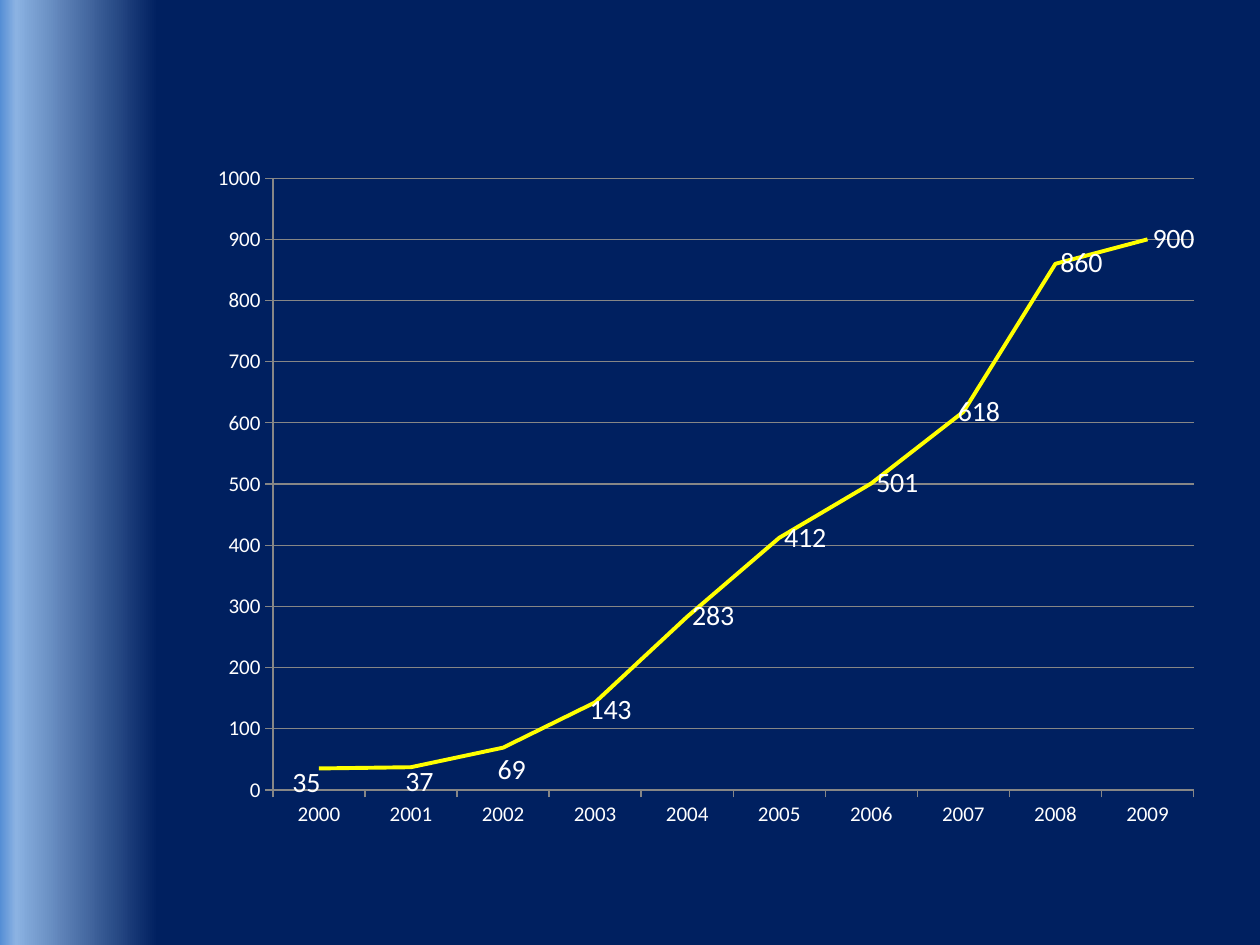
from copy import deepcopy

from lxml.etree import SubElement
from pptx import Presentation
from pptx.chart.data import CategoryChartData as ChartData
from pptx.dml.color import RGBColor as Color
from pptx.enum.chart import XL_CHART_TYPE as ChartType
from pptx.enum.chart import XL_LABEL_POSITION as LabelPosition
from pptx.enum.chart import XL_MARKER_STYLE as Marker
from pptx.enum.chart import XL_TICK_MARK as Tick
from pptx.enum.shapes import MSO_SHAPE as Shape
from pptx.oxml.ns import qn
from pptx.util import Cm, Pt

VALUES = [35, 37, 69, 143, 283, 412, 501, 618, 860, 900]
YEARS = [str(2000 + step) for step in range(len(VALUES))]
LABEL_SHIFTS = {
    0: (-0.03, 0.02),
    1: (-0.01, 0.02),
    2: (-0.01, 0.03),
    3: (-0.01, 0.01),
    7: (-0.01, 0),
}
PLOT_AREA = {"x": 0.12, "y": 0.07, "w": 0.88, "h": 0.82}
BAND_STOPS = [(0, "navy"), (0.9, "pale"), (1, "blue")]

THEME = {
    "font": "Calibri",
    "axis_size": Pt(12),
    "label_size": Pt(16),
    "grid_width": Pt(0.75),
    "series_width": Pt(2.25),
    "navy": Color.from_string("002060"),
    "pale": Color.from_string("8BB2E2"),
    "blue": Color.from_string("558ED5"),
    "text": Color.from_string("FFFFFF"),
    "series": Color.from_string("FFFF00"),
    "grid": Color.from_string("868686"),
}


def style_font(font, size):
    font.name = THEME["font"]
    font.size = size
    font.color.rgb = THEME["text"]


def style_line(line, color, width):
    line.color.rgb = color
    line.width = width


def set_layout(parent, index, settings):
    for old in parent.findall(qn("c:layout")):
        parent.remove(old)
    layout = SubElement(parent, qn("c:layout"))
    parent.insert(index, layout)
    manual = SubElement(layout, qn("c:manualLayout"))
    for name, value in settings.items():
        SubElement(manual, qn(f"c:{name}")).set("val", str(value))


def add_band(page):
    band = page.shapes.add_shape(Shape.RECTANGLE, Cm(0), Cm(0), Cm(3.18), Cm(19.05))
    band.shadow.inherit = False
    band.line.fill.background()
    band.fill.gradient()
    band.fill.gradient_angle = 180
    stop_list = band.element.spPr.find(".//" + qn("a:gsLst"))
    stop_list.append(deepcopy(stop_list[-1]))
    for stop, (position, color) in zip(band.fill.gradient_stops, BAND_STOPS):
        stop.position = position
        stop.color.rgb = THEME[color]


def add_line_chart(page):
    data = ChartData()
    data.categories = YEARS
    data.add_series("Series 1", VALUES)
    chart = page.shapes.add_chart(
        ChartType.LINE, Cm(2.97), Cm(2.54), Cm(21.11), Cm(15.04), data
    ).chart
    chart.has_legend = False
    chart.has_title = False
    style_font(chart.font, THEME["axis_size"])
    plot_area = chart.element.find(".//" + qn("c:plotArea"))
    modes = {"layoutTarget": "inner", "xMode": "edge", "yMode": "edge"}
    set_layout(plot_area, 0, modes | PLOT_AREA)

    for axis in (chart.category_axis, chart.value_axis):
        axis.major_tick_mark = Tick.OUTSIDE
        axis.minor_tick_mark = Tick.NONE
        style_line(axis.format.line, THEME["grid"], THEME["grid_width"])
    scale = chart.value_axis
    scale.minimum_scale, scale.maximum_scale, scale.major_unit = 0, 1000, 100
    scale.has_major_gridlines = True
    style_line(scale.major_gridlines.format.line, THEME["grid"], THEME["grid_width"])

    chart.plots[0].vary_by_categories = False
    series = chart.plots[0].series[0]
    series.smooth = False
    series.marker.style = Marker.NONE
    style_line(series.format.line, THEME["series"], THEME["series_width"])
    labels = series.data_labels
    labels.show_value = True
    labels.position = LabelPosition.RIGHT
    style_font(labels.font, THEME["label_size"])
    for index, (x, y) in LABEL_SHIFTS.items():
        label = series.points[index].data_label
        label.position = LabelPosition.RIGHT
        style_font(label.font, THEME["label_size"])
    for element in chart.element.iter(qn("c:dLbl")):
        x, y = LABEL_SHIFTS[int(element.find(qn("c:idx")).get("val"))]
        set_layout(element, 1, {"x": x, "y": y})


def main():
    deck = Presentation()
    deck.slide_width, deck.slide_height = Cm(25.4), Cm(19.05)
    page = deck.slides.add_slide(deck.slide_layouts[6])
    page.background.fill.solid()
    page.background.fill.fore_color.rgb = THEME["navy"]
    add_band(page)
    add_line_chart(page)
    deck.save("out.pptx")


if __name__ == "__main__":
    main()
